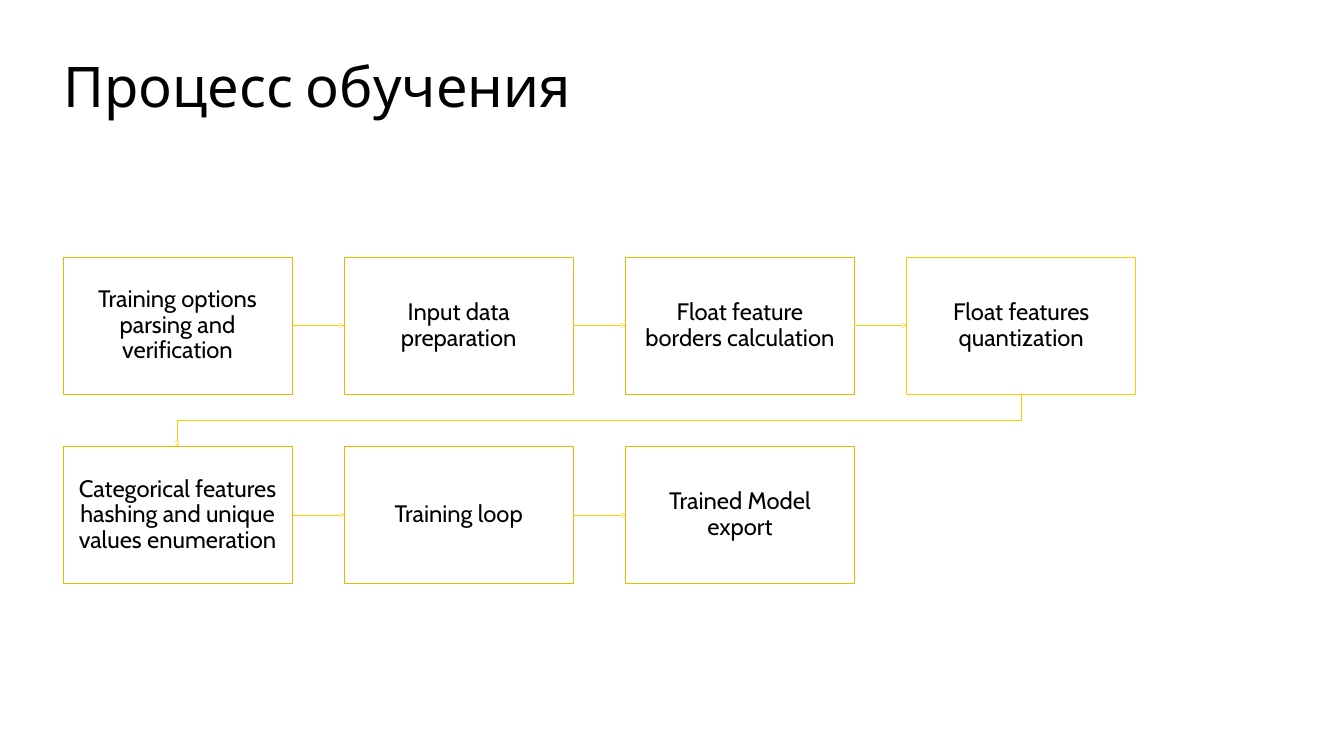
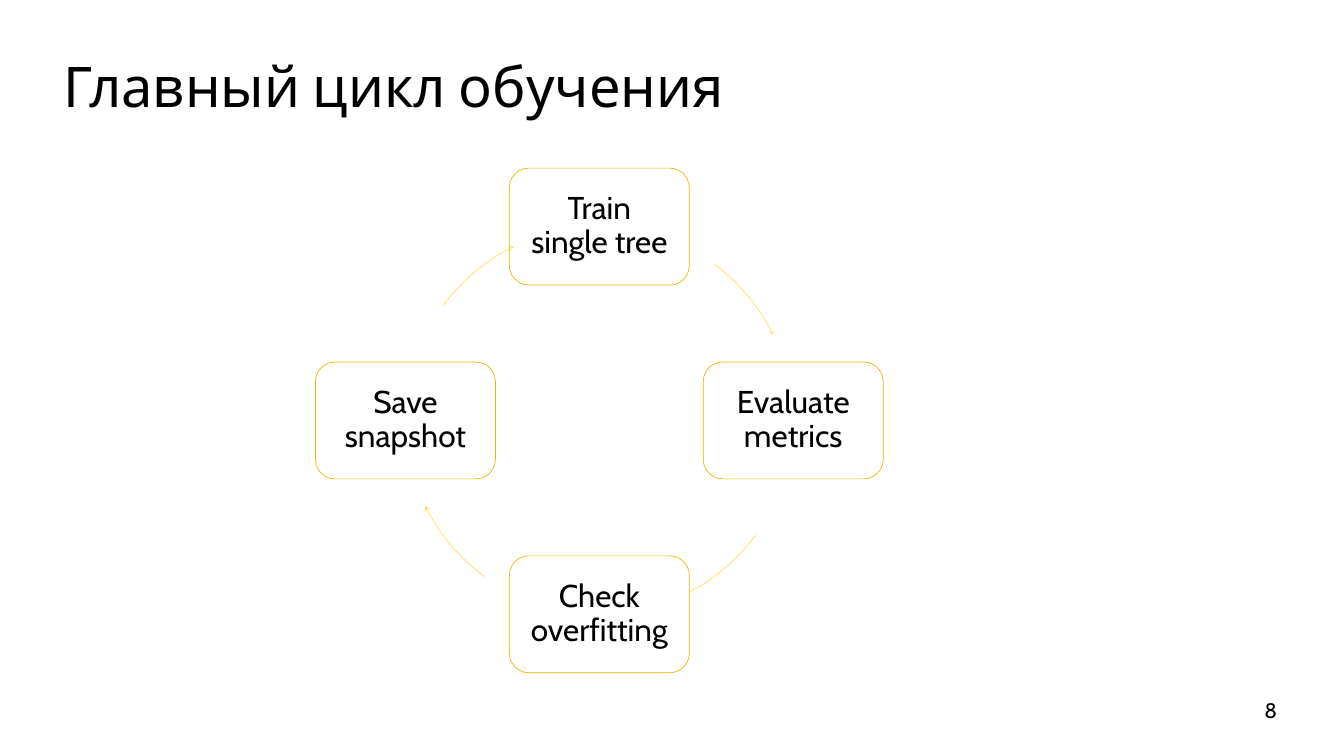
"""Builds two slides about model training: a process chain and its main loop."""
import math

from lxml import etree
from pptx import Presentation
from pptx import util as u
from pptx.dml.color import RGBColor
from pptx.enum import shapes, text
from pptx.oxml.ns import qn

COLORS = {"paper": "FFFFFF", "ink": "000000", "border": "E7B900", "arrow": "FFCC00"}
FONT = "Cabin"
TITLE_ONLY = 5

STEPS = [
    "Training options parsing and verification",
    "Input data preparation",
    "Float feature borders calculation",
    "Float features quantization",
    "Categorical features hashing and unique values enumeration",
    "Training loop",
    "Trained Model export",
]
STEPS_PER_ROW = 4
STEP_LEFT, STEP_TOP = 3.18, 12.95
STEP_WIDTH, STEP_HEIGHT = 11.53, 6.91
STEP_PITCH, ROW_PITCH = 14.17, 9.55

LOOP_STAGES = ["Train single tree", "Evaluate metrics", "Check overfitting", "Save snapshot"]
LOOP_X, LOOP_Y, LOOP_RADIUS = 30.2, 21.19, 9.77
STAGE_WIDTH, STAGE_HEIGHT = 9.07, 5.89
ARC_START, ARC_SWEEP = 306.3, 27.4


def color(name):
    """Return the named colour of the palette."""
    return RGBColor.from_string(COLORS[name])


def write(frame, words, size, align=text.PP_ALIGN.CENTER, spacing=0.9, inset=0.0):
    """Put formatted, vertically centred text into a frame."""
    frame.word_wrap = True
    frame.auto_size = text.MSO_AUTO_SIZE.NONE
    frame.vertical_anchor = text.MSO_ANCHOR.MIDDLE
    frame.margin_left = frame.margin_right = u.Cm(inset)
    frame.margin_top = frame.margin_bottom = u.Cm(inset)
    para = frame.paragraphs[0]
    para.alignment = align
    para.line_spacing = spacing
    span = para.add_run()
    span.text = words
    span.font.name = FONT
    span.font.size = u.Pt(size)
    span.font.color.rgb = color("ink")


def add_page(deck, title):
    """Add a slide with the shared background and title style."""
    page = deck.slides.add_slide(deck.slide_layouts[TITLE_ONLY])
    page.background.fill.solid()
    page.background.fill.fore_color.rgb = color("paper")
    box = page.shapes.title
    box.left, box.top, box.width, box.height = map(u.Cm, (3.18, 2.11, 61.47, 4.19))
    write(box.text_frame, title, size=80, align=text.PP_ALIGN.LEFT, spacing=u.Pt(100))
    return page


def add_card(page, kind, left, top, width, height, words, size, inset, border="border"):
    """Add an outlined card with centred text."""
    box = page.shapes.add_shape(kind, *map(u.Cm, (left, top, width, height)))
    box.shadow.inherit = False
    box.fill.solid()
    box.fill.fore_color.rgb = color("paper")
    box.line.color.rgb = color(border)
    box.line.width = u.Pt(1)
    write(box.text_frame, words, size, inset=inset)
    return box


def style_arrow(arrow):
    """Give a line the thin arrow look and an open head at its end."""
    arrow.line.color.rgb = color("arrow")
    arrow.line.width = u.Pt(0.5)
    etree.SubElement(arrow.line._get_or_add_ln(), qn("a:tailEnd"), type="arrow")


def join_sideways(page, source, target):
    """Connect the right side of one card to the left side of the next."""
    arrow = page.shapes.add_connector(shapes.MSO_CONNECTOR.STRAIGHT, 0, 0, 0, 0)
    arrow.begin_connect(source, 3)
    arrow.end_connect(target, 1)
    style_arrow(arrow)
    etree.SubElement(arrow._element.spPr, qn("a:effectLst"))


def join_rows(page, source, target):
    """Lead an angled arrow from the end of one row to the start of the next."""
    start_x = source.left + source.width // 2
    end_x = target.left + target.width // 2
    bottom = source.top + source.height
    middle = (bottom + target.top) // 2
    builder = page.shapes.build_freeform(start_x, bottom)
    builder.add_line_segments(
        [(start_x, middle), (end_x, middle), (end_x, target.top)], close=False)
    arrow = builder.convert_to_shape()
    arrow.shadow.inherit = False
    arrow.fill.background()
    style_arrow(arrow)


def add_arc(page, start):
    """Add a curved arrow on the loop circle, starting at an angle in degrees."""
    side = 2 * LOOP_RADIUS
    arrow = page.shapes.add_shape(
        shapes.MSO_SHAPE.ARC,
        *map(u.Cm, (LOOP_X - LOOP_RADIUS, LOOP_Y - LOOP_RADIUS, side, side)))
    for index, angle in enumerate((start, start + ARC_SWEEP)):
        arrow.adjustments[index] = angle % 360 * 0.6
    arrow.shadow.inherit = False
    arrow.fill.background()
    style_arrow(arrow)


def add_process(page):
    """Lay the steps out in rows and connect them in order."""
    cards = []
    for index, words in enumerate(STEPS):
        row, column = divmod(index, STEPS_PER_ROW)
        border = "arrow" if column == STEPS_PER_ROW - 1 else "border"
        cards.append(add_card(
            page, shapes.MSO_SHAPE.RECTANGLE,
            STEP_LEFT + column * STEP_PITCH, STEP_TOP + row * ROW_PITCH,
            STEP_WIDTH, STEP_HEIGHT, words, size=34, inset=0.66, border=border))
    for source, target in zip(cards, cards[1:]):
        join = join_sideways if source.top == target.top else join_rows
        join(page, source, target)


def add_loop(page):
    """Place the stages clockwise around a circle with arcs between them."""
    for index, words in enumerate(LOOP_STAGES):
        turn = 360 / len(LOOP_STAGES) * index
        angle = math.radians(turn)
        add_card(
            page, shapes.MSO_SHAPE.ROUNDED_RECTANGLE,
            LOOP_X + LOOP_RADIUS * math.sin(angle) - STAGE_WIDTH / 2,
            LOOP_Y - LOOP_RADIUS * math.cos(angle) - STAGE_HEIGHT / 2,
            STAGE_WIDTH, STAGE_HEIGHT, words, size=45, inset=0.76)
        add_arc(page, ARC_START + turn)


def add_page_number(page, number):
    """Write the page number in the bottom right corner."""
    box = page.shapes.add_textbox(*map(u.Cm, (61.42, 35.26, 3.18, 1.07)))
    write(box.text_frame, number, size=30, align=text.PP_ALIGN.RIGHT, spacing=1.0, inset=0.25)


def main():
    """Build and save the deck."""
    deck = Presentation()
    deck.slide_width, deck.slide_height = u.Cm(67.72), u.Cm(38.1)
    add_process(add_page(deck, "Процесс обучения"))
    page = add_page(deck, "Главный цикл обучения")
    add_loop(page)
    add_page_number(page, "8")
    deck.save("out.pptx")


if __name__ == "__main__":
    main()
